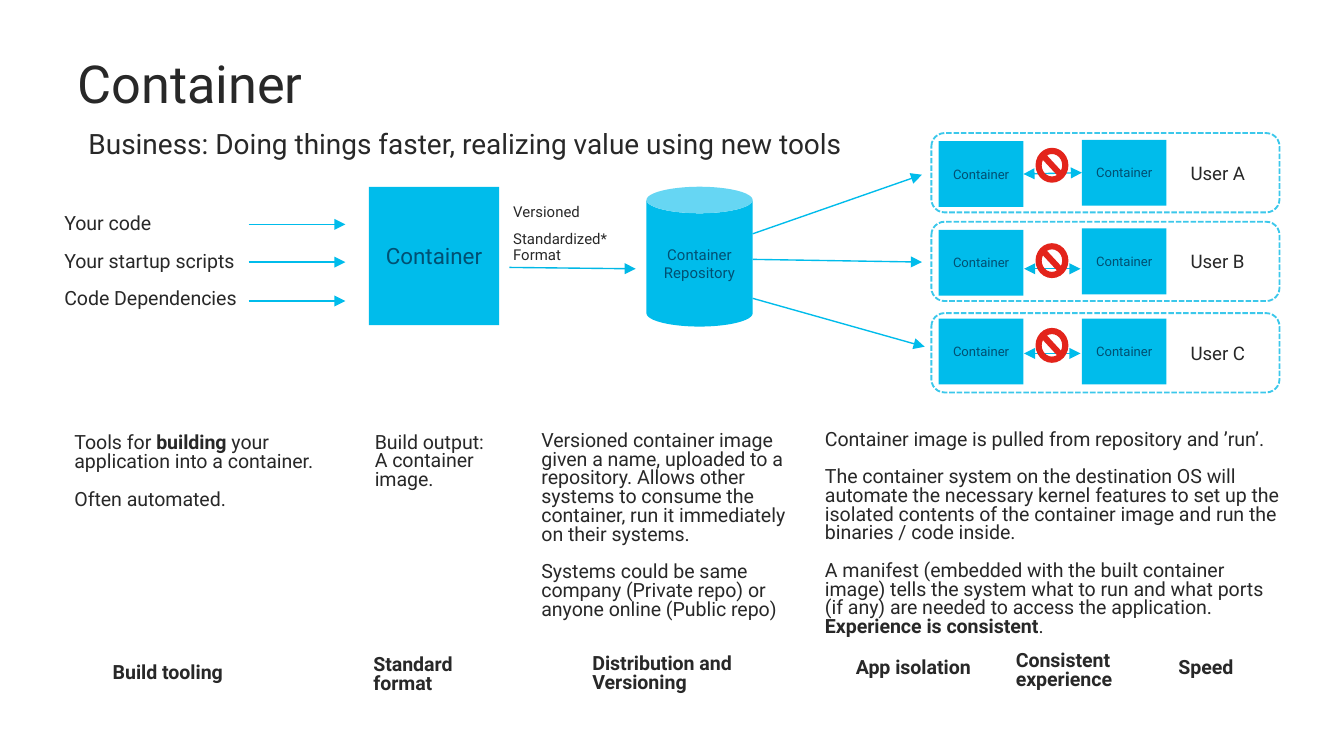
"""Build the slide on containers, from build tooling to isolated users."""
from lxml import etree
from pptx import Presentation, util as u
from pptx.dml.color import RGBColor
from pptx.enum import dml, shapes, text
from pptx.oxml.ns import qn

INK, NAVY, CYAN, SKY, RED = "282828", "005073", "00BCEB", "00B8E6", "E3241B"
M = shapes.MSO_SHAPE
TOP = text.MSO_ANCHOR.TOP
rgb = RGBColor.from_string

prs = Presentation()
prs.slide_width = u.Inches(10)
prs.slide_height = prs.slide_width * 9 // 16
slide = prs.slides.add_slide(prs.slide_layouts[6])
col = prs.slide_width / 100
row = prs.slide_height / 56.25


def box(x, y, w, h, paras=(), size=10.5, kind=None, fill=None, spacing=0.8,
        gap=0, bold=False, anchor=text.MSO_ANCHOR.MIDDLE):
    """Add a text box or preset shape; bars in a paragraph switch bold on and off."""
    place = [round(v) for v in (x * col, y * row, w * col, h * row)]
    if kind is None:
        s = slide.shapes.add_textbox(*place)
    else:
        s = slide.shapes.add_shape(kind, *place)
        s.shadow.inherit = False
        s.line.fill.background()
        if fill:
            s.fill.solid()
            s.fill.fore_color.rgb = rgb(fill)
        else:
            s.fill.background()
    tf = s.text_frame
    tf.word_wrap = True
    tf.vertical_anchor = anchor
    if kind is not None:
        tf.margin_left = tf.margin_right = 0
    for i, line in enumerate(paras):
        p = tf.paragraphs[0] if i == 0 else tf.add_paragraph()
        p.line_spacing = spacing
        p.alignment = text.PP_ALIGN.LEFT if kind is None else text.PP_ALIGN.CENTER
        if i:
            p.space_before = u.Pt(gap)
        p.font.name, p.font.size, p.font.bold = "Roboto", u.Pt(size), bold
        p.font.color.rgb = rgb(INK if kind is None else NAVY)
        for j, part in enumerate(line.split("|")):
            if part:
                r = p.add_run()
                r.text = part
                if j % 2:
                    r.font.bold = True
    return s


def arrow(x1, y1, x2, y2, color=CYAN, ends=("tailEnd",)):
    """Add a straight arrow with a triangle at each named end."""
    c = slide.shapes.add_connector(shapes.MSO_CONNECTOR.STRAIGHT, round(x1 * col),
                                   round(y1 * row), round(x2 * col), round(y2 * row))
    c.line.color.rgb = rgb(color)
    c.line.width = u.Pt(0.75)
    ln = c._element.spPr.find(qn("a:ln"))
    for end in ends:
        etree.SubElement(ln, qn("a:" + end), type="triangle")
    etree.SubElement(c._element.spPr, qn("a:effectLst"))
    return c


box(4.8, 1.8, 91.3, 9.5, ["Container"], 28)
box(5.6, 9.1, 94.4, 4.2, ["Business: Doing things faster, realizing value using new tools"],
    15, spacing=0.95, anchor=TOP)

box(3.8, 14.9, 16.2, 9.3, ["Your code", "Your startup scripts", "Code Dependencies"], gap=10)
for y in (16.7, 19.5, 22.4):
    arrow(18.5, y, 25.7, y)
box(27.45, 13.9, 9.7, 10.3, ["Container"], 12, M.RECTANGLE, CYAN, 1)
box(37.2, 14.7, 11.3, 5.5, ["Versioned", "Standardized* Format"], 8, spacing=0.9,
    gap=6, anchor=TOP)
arrow(37.9, 19.9, 47.3, 20, SKY)
box(48.1, 13.9, 7.9, 10.4, ["Container", "Repository"], 8, M.CAN, CYAN, 1)
for y1, x2, y2 in ((17.4, 68.6, 13), (19.3, 68.6, 19.5), (22.2, 68.8, 25.8)):
    arrow(56, y1, x2, y2)

users = (("A", 9.9, 10.5, 10.4, 13, 11), ("B", 16.5, 17.1, 17, 20, 18.1),
         ("C", 23.3, 23.7, 23.7, 26.3, 24.4))
for user, top, left_y, right_y, link_y, ban_y in users:
    s = box(69.3, top, 25.9, 5.9, kind=M.ROUNDED_RECTANGLE)
    s.line.color.rgb = rgb(SKY)
    s.line.width = u.Pt(1)
    s.line.dash_style = dml.MSO_LINE.SQUARE_DOT
    tint = s._element.spPr.find(qn("a:ln")).find(".//" + qn("a:srgbClr"))
    etree.SubElement(tint, qn("a:alpha"), val="76000")
    left = box(69.85, left_y, 6.3, 4.9, ["Container"], 7, M.RECTANGLE, CYAN, 1)
    right = box(80.5, right_y, 6.3, 4.9, ["Container"], 7, M.RECTANGLE, CYAN, 1)
    link = arrow(76.2, link_y, 80.4, link_y, SKY if user == "B" else CYAN,
                 ("headEnd", "tailEnd"))
    if user == "A":
        link.begin_connect(left, 3)
        link.end_connect(right, 1)
    ban = box(77.05, ban_y, 2.45, 2.6, kind=M.NO_SYMBOL, fill=RED)
    ban.adjustments[0] = 0.19
    box(87.6, top + 1.8, 6.8, 2.5, ["User " + user], 10, spacing=0.9, anchor=TOP)

box(4.55, 28.65, 21.1, 13, ["Tools for |building| your application into a container.",
                            "Often automated."], gap=10)
box(26.9, 28.95, 10.8, 10.9, ["Build output:", "A container", "image."])
box(39.3, 30.7, 21.1, 16.9, [
    "Versioned container image given a name, uploaded to a repository. Allows other "
    "systems to consume the container, run it immediately on their systems.",
    "Systems could be same company (Private repo) or anyone online (Public repo)"], gap=10)
s = box(60.4, 31.3, 36.3, 16.9, [
    "Container image is pulled from repository and ’run’.",
    "The container system on the destination OS will automate the necessary kernel "
    "features to set up the isolated contents of the container image and run the "
    "binaries / code inside.",
    "A manifest (embedded with the built container image) tells the system what to run "
    "and what ports (if any) are needed to access the application.",
    "|Experience is consistent|."], gap=10)
s.text_frame.paragraphs[-1].space_before = u.Pt(0)

for x, y, w, label in ((7.4, 48.6, 14.8, "Build tooling"),
                       (26.8, 48.7, 10.3, "Standard format"),
                       (43.1, 48.6, 13.7, "Distribution and Versioning"),
                       (62.7, 48.2, 14, "App isolation"),
                       (74.6, 48.4, 13.7, "Consistent experience"),
                       (86.7, 48.2, 7.7, "Speed")):
    box(x, y, w, 3.1, [label], bold=True)

prs.save("out.pptx")
